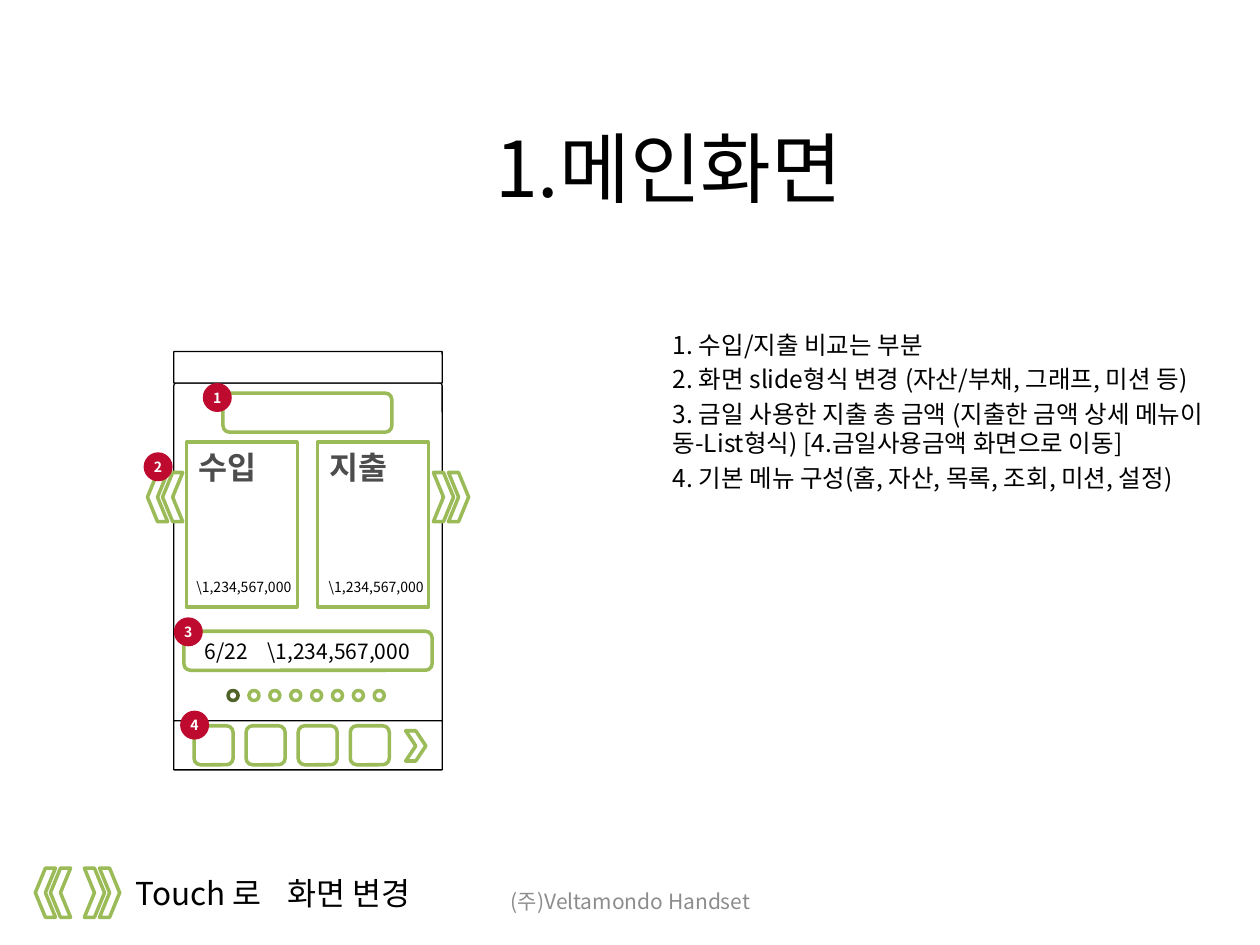
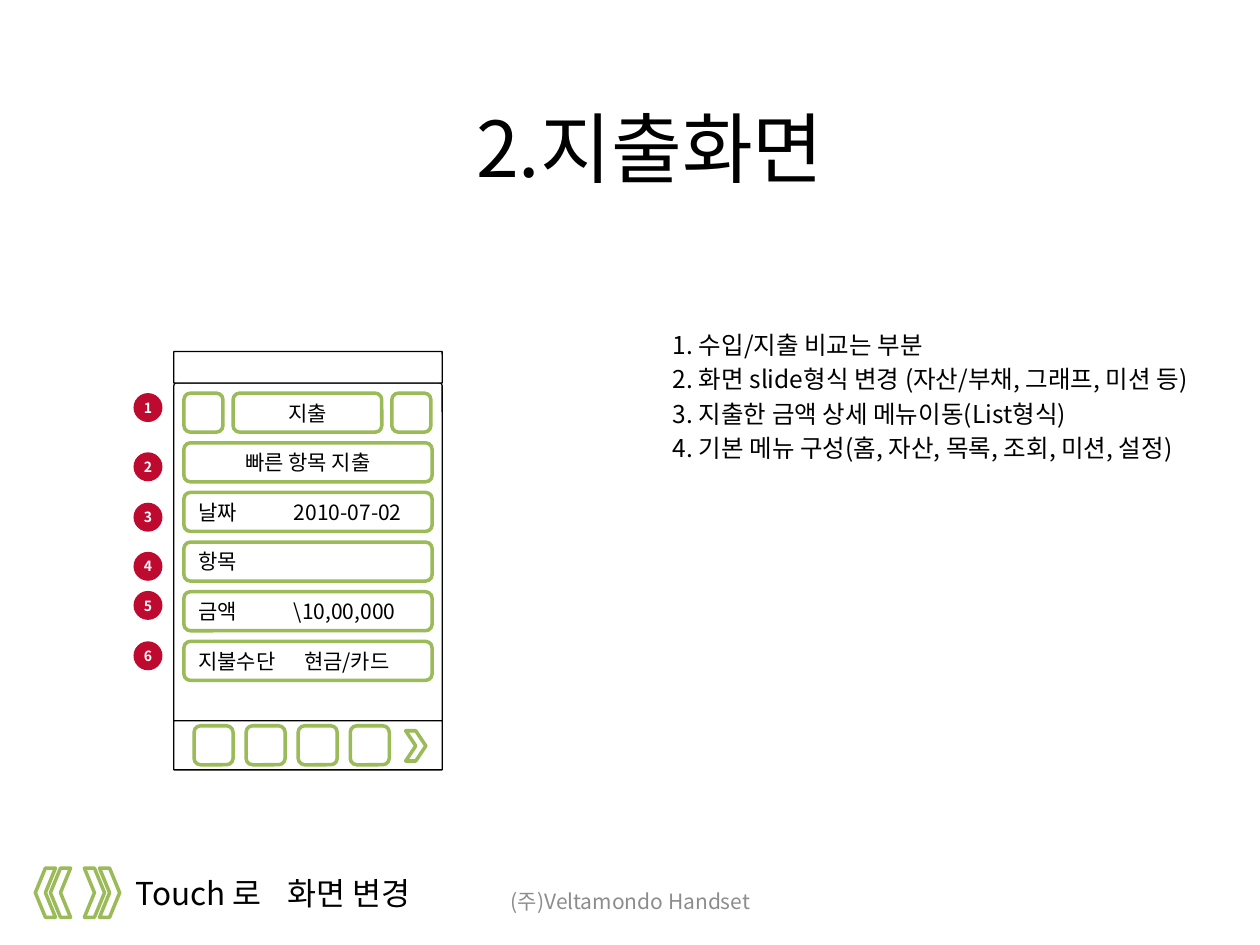
from dataclasses import dataclass

from lxml.etree import SubElement
from pptx import Presentation
from pptx.dml.color import RGBColor
from pptx.enum.shapes import MSO_SHAPE
from pptx.enum.text import MSO_ANCHOR, MSO_AUTO_SIZE, PP_ALIGN
from pptx.oxml.ns import qn
from pptx.util import Inches, Pt


@dataclass(frozen=True)
class Theme:
    black: str = "000000"
    white: str = "FFFFFF"
    green: str = "9BBB59"
    dark_green: str = "4F6228"
    red: str = "BF0A30"
    card_gray: str = "4D4D4D"
    footer_gray: str = "8C8C8C"
    font: str = "Noto Sans CJK KR"
    card_font: str = "Arial"
    title: int = 44
    heading: int = 18
    list_item: int = 14
    label: int = 12
    small: int = 8
    frame_line: float = 0.75
    widget_line: float = 2


THEME = Theme()
PHONE_LEFT, PHONE_WIDTH = 1.38, 2.13
FIELD_LEFT, FIELD_WIDTH, FIELD_HEIGHT = 1.46, 1.97, 0.31


def spread(first, last, count):
    return [first + (last - first) * i / (count - 1) for i in range(count)]


def box(left, top, width, height):
    return [Inches(length) for length in (left, top, width, height)]


def format_text(frame, size, color=THEME.black, bold=False, font=THEME.font,
                align=PP_ALIGN.LEFT, anchor=MSO_ANCHOR.MIDDLE, wrap=True, tab=None):
    frame.auto_size = MSO_AUTO_SIZE.NONE
    frame.word_wrap = wrap
    frame.vertical_anchor = anchor
    for paragraph in frame.paragraphs:
        paragraph.alignment = align
        if tab:
            stops = SubElement(paragraph._p.get_or_add_pPr(), qn("a:tabLst"))
            SubElement(stops, qn("a:tab"), pos=str(Inches(tab)), algn="l")
        for run in paragraph.runs:
            run.font.size = Pt(size)
            run.font.bold = bold
            run.font.color.rgb = RGBColor.from_string(color)
            run.font.name = font
            SubElement(run._r.get_or_add_rPr(), qn("a:ea"), typeface=THEME.font)


def add_outlined(shapes, kind, place, line=THEME.green, weight=THEME.widget_line):
    outlined = shapes.add_shape(kind, *box(*place))
    outlined.shadow.inherit = False
    outlined.fill.solid()
    outlined.fill.fore_color.rgb = RGBColor.from_string(THEME.white)
    outlined.line.color.rgb = RGBColor.from_string(line)
    outlined.line.width = Pt(weight)
    return outlined


def add_text(slide, text, place, size, **style):
    frame = slide.shapes.add_textbox(*box(*place)).text_frame
    frame.text = text
    format_text(frame, size, **style)


def add_field(slide, left, top, width, text="", inset=0.1, **style):
    field = add_outlined(slide.shapes, MSO_SHAPE.ROUNDED_RECTANGLE,
                         (left, top, width, FIELD_HEIGHT))
    if text:
        field.text_frame.text = text
        field.text_frame.margin_left = Inches(inset)
        format_text(field.text_frame, THEME.label, **style)


def add_badge(slide, number, left, top):
    badge = slide.shapes.add_shape(MSO_SHAPE.OVAL, *box(left, top, 0.23, 0.23))
    badge.shadow.inherit = False
    badge.fill.solid()
    badge.fill.fore_color.rgb = RGBColor.from_string(THEME.red)
    badge.line.fill.background()
    frame = badge.text_frame
    frame.margin_left = frame.margin_right = frame.margin_top = frame.margin_bottom = 0
    frame.text = str(number)
    format_text(frame, THEME.small, THEME.white, bold=True,
                align=PP_ALIGN.CENTER, wrap=False)


def add_double_chevron(slide, left, top, rotation=0):
    pair = slide.shapes.add_group_shape().shapes
    lefts = (left + 0.12, left) if rotation else (left, left + 0.12)
    for chevron_left in lefts:
        chevron = add_outlined(pair, MSO_SHAPE.CHEVRON, (chevron_left, top, 0.16, 0.39))
        chevron.rotation = rotation


def add_card(slide, left, heading):
    card = add_outlined(slide.shapes, MSO_SHAPE.RECTANGLE, (left, 3.51, 0.88, 1.31))
    card.text_frame.text = heading
    format_text(card.text_frame, THEME.heading, THEME.card_gray, bold=True,
                font=THEME.card_font, anchor=MSO_ANCHOR.TOP)


def add_page_dots(slide):
    for i, left in enumerate(spread(1.81, 2.97, 8)):
        color = THEME.green if i else THEME.dark_green
        add_outlined(slide.shapes, MSO_SHAPE.OVAL, (left, 5.48, 0.08, 0.08), color)


def add_phone(slide):
    for top, height in ((3.04, 2.7), (5.72, 0.39), (2.79, 0.25)):
        panel = add_outlined(slide.shapes, MSO_SHAPE.ROUNDED_RECTANGLE,
                             (PHONE_LEFT, top, PHONE_WIDTH, height),
                             THEME.black, THEME.frame_line)
        panel.adjustments[0] = 0.01
    for left in spread(1.54, 2.78, 4):
        add_field(slide, left, 5.76, FIELD_HEIGHT)
    add_outlined(slide.shapes, MSO_SHAPE.CHEVRON, (3.22, 5.8, 0.16, 0.24))


def add_legend_and_footer(slide):
    add_double_chevron(slide, 0.28, 6.89, rotation=180)
    add_double_chevron(slide, 0.67, 6.89)
    add_text(slide, "Touch 로\t화면 변경", (0.98, 6.89, 2.49, 0.4), THEME.heading,
             anchor=MSO_ANCHOR.TOP, tab=1.2)
    add_text(slide, "(주)Veltamondo Handset", (3.42, 6.95, 3.17, 0.4), THEME.label,
             color=THEME.footer_gray, align=PP_ALIGN.CENTER)


def move(placeholder, place):
    placeholder.left, placeholder.top, placeholder.width, placeholder.height = box(*place)


def add_screen_slide(deck, heading, heading_left, heading_top, descriptions):
    slide = deck.slides.add_slide(deck.slide_layouts[1])
    title, body = slide.placeholders
    move(title, (heading_left, heading_top, 8.5, 1.61))
    title.text_frame.text = heading
    format_text(title.text_frame, THEME.title, align=PP_ALIGN.CENTER)

    move(body, (5.24, 2.57, 4.65, 3.7))
    body.text_frame.text = "\n".join(descriptions)
    format_text(body.text_frame, THEME.list_item, anchor=MSO_ANCHOR.TOP)
    for paragraph in body.text_frame.paragraphs:
        paragraph.space_before = Pt(2.8)
        properties = paragraph._p.get_or_add_pPr()
        properties.set("marL", "0")
        properties.set("indent", "0")
        SubElement(properties, qn("a:buNone"))

    add_phone(slide)
    add_legend_and_footer(slide)
    return slide


def build_main_screen(deck):
    slide = add_screen_slide(deck, "1.메인화면", 1.06, 0.52, [
        "1. 수입/지출 비교는 부분",
        "2. 화면 slide형식 변경 (자산/부채, 그래프, 미션 등)",
        "3. 금일 사용한 지출 총 금액 (지출한 금액 상세 메뉴이동-List형식) "
        "[4.금일사용금액 화면으로 이동]",
        "4. 기본 메뉴 구성(홈, 자산, 목록, 조회, 미션, 설정)",
    ])
    for heading, card_left, amount_left in (("수입", 1.48, 1.46), ("지출", 2.52, 2.51)):
        add_card(slide, card_left, heading)
        add_text(slide, "\\1,234,567,000", (amount_left, 4.54, 0.98, 0.24),
                 THEME.small, anchor=MSO_ANCHOR.TOP, wrap=False)
    add_page_dots(slide)
    add_double_chevron(slide, 3.44, 3.75)
    add_double_chevron(slide, 1.17, 3.75, rotation=180)
    add_field(slide, FIELD_LEFT, 5.01, FIELD_WIDTH, "6/22\t\\1,234,567,000",
              inset=0.15, tab=0.5)
    add_field(slide, 1.77, 3.12, 1.34)
    badge_places = ((1.61, 3.04), (1.14, 3.59), (1.38, 4.9), (1.43, 5.64))
    for number, (left, top) in enumerate(badge_places, 1):
        add_badge(slide, number, left, top)


def build_expense_screen(deck):
    slide = add_screen_slide(deck, "2.지출화면", 0.91, 0.36, [
        "1. 수입/지출 비교는 부분",
        "2. 화면 slide형식 변경 (자산/부채, 그래프, 미션 등)",
        "3. 지출한 금액 상세 메뉴이동(List형식)",
        "4. 기본 메뉴 구성(홈, 자산, 목록, 조회, 미션, 설정)",
    ])
    header_top, quick_top, *entry_tops = spread(3.12, 5.09, 6)
    for left in (FIELD_LEFT, 3.11):
        add_field(slide, left, header_top, FIELD_HEIGHT)
    add_field(slide, 1.85, header_top, 1.18, "지출", align=PP_ALIGN.CENTER)
    add_field(slide, FIELD_LEFT, quick_top, FIELD_WIDTH, "빠른 항목 지출",
              align=PP_ALIGN.CENTER)
    entries = (("날짜\t2010-07-02", 0.76), ("항목", None),
               ("금액\t\\10,00,000", 0.76), ("지불수단\t현금/카드", 0.84))
    for top, (entry, tab) in zip(entry_tops, entries):
        add_field(slide, FIELD_LEFT, top, FIELD_WIDTH, entry, tab=tab)
    for number, top in enumerate((3.12, 3.59, 3.99, 4.38, 4.69, 5.09), 1):
        add_badge(slide, number, 1.06, top)


def main():
    deck = Presentation()
    deck.slide_width, deck.slide_height = Inches(10), Inches(7.5)
    build_main_screen(deck)
    build_expense_screen(deck)
    deck.save("out.pptx")


if __name__ == "__main__":
    main()
